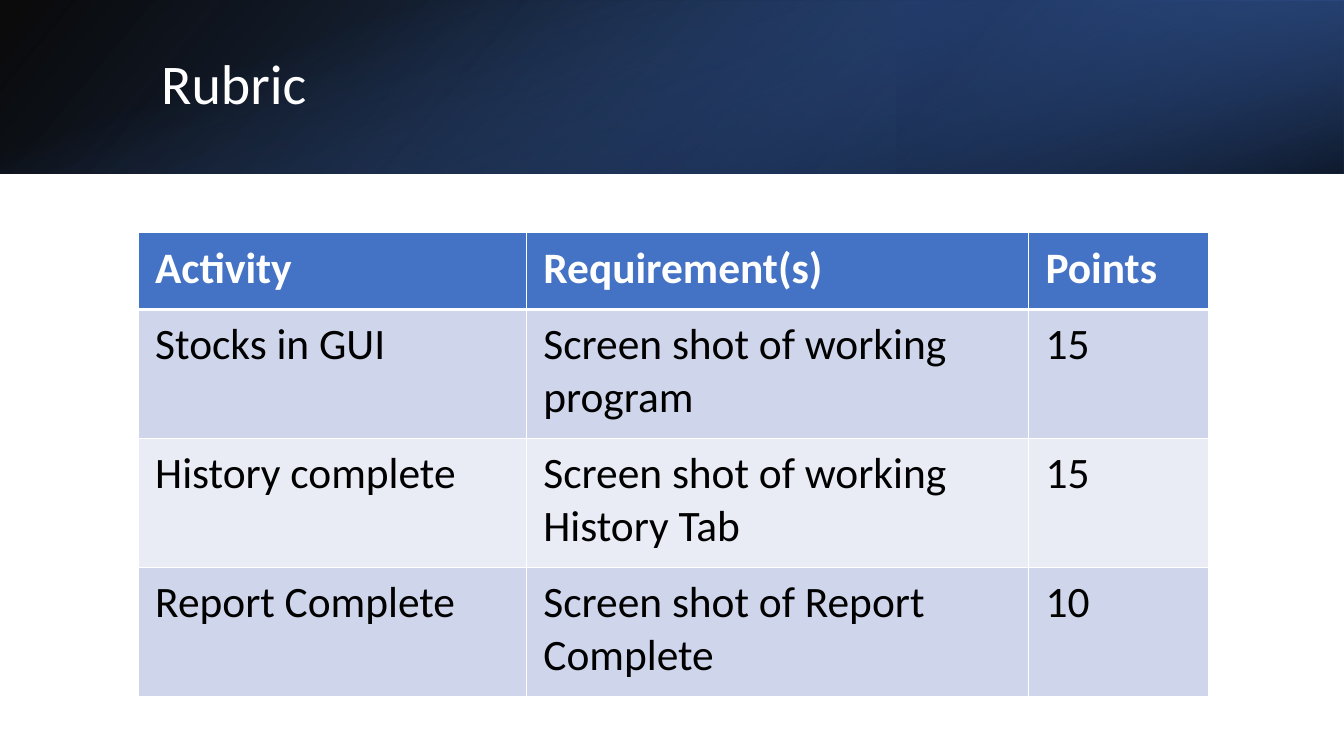
from lxml import etree
from pptx import Presentation
from pptx.dml.color import RGBColor
from pptx.enum.shapes import MSO_SHAPE
from pptx.enum.text import MSO_ANCHOR
from pptx.oxml.ns import qn
from pptx.util import Inches, Pt

RECTANGLE = MSO_SHAPE.RECTANGLE
MIDDLE = MSO_ANCHOR.MIDDLE
FONT = "Calibri"
WHITE = "FFFFFF"


def color(hex_string):
    return RGBColor.from_string(hex_string)


def add_text(paragraph, text, size, hex_string, bold=False):
    run = paragraph.add_run()
    run.text = text
    run.font.name = FONT
    run.font.size = Pt(size)
    run.font.bold = bold
    run.font.color.rgb = color(hex_string)


presentation = Presentation()
presentation.slide_width = Inches(13.33)
presentation.slide_height = Inches(7.5)
slide = presentation.slides.add_slide(presentation.slide_layouts[6])

# Header band: three layered gradients
# (left, top, width, height), rotation, flipped, clockwise angle, (position, color, opacity)
band_layers = [
    ((0, 0, 13.33, 1.72), 0, True, 140, [(0, "000000", 96), (100, "2F5597", 100)]),
    ((8.89, 0, 4.44, 1.72), 180, True, 320, [(19, "203864", 68), (100, "4472C4", 79)]),
    ((5.8, -5.8, 1.72, 13.33), 90, False, 340, [(23, "4472C4", 0), (99, "000000", 74)]),
]
for box, rotation, flipped, angle, stops in band_layers:
    layer = slide.shapes.add_shape(RECTANGLE, *[Inches(length) for length in box])
    layer.shadow.inherit = False
    layer.line.fill.background()
    layer.rotation = rotation
    if flipped:
        layer._element.spPr.find(qn("a:xfrm")).set("flipH", "1")
    layer.fill.gradient()
    layer.fill.gradient_angle = 360 - angle
    for gradient_stop, (position, hex_string, _) in zip(layer.fill.gradient_stops, stops):
        gradient_stop.position = position / 100
        gradient_stop.color.rgb = color(hex_string)
    stop_colors = layer._element.spPr.find(qn("a:gradFill")).iter(qn("a:srgbClr"))
    for stop_color, (_, _, opacity) in zip(stop_colors, stops):
        etree.SubElement(stop_color, qn("a:alpha")).set("val", str(opacity * 1000))

# Title
title = slide.shapes.add_textbox(Inches(1.5), Inches(0.38), Inches(10.98), Inches(0.96))
title.text_frame.word_wrap = True
title.text_frame.vertical_anchor = MIDDLE
title_paragraph = title.text_frame.paragraphs[0]
title_paragraph.line_spacing = 0.9
add_text(title_paragraph, "Rubric", 40, WHITE)

# Rubric table
rubric = [
    ("Activity", "Requirement(s)", "Points"),
    ("Stocks in GUI", "Screen shot of working program", "15"),
    ("History complete", "Screen shot of working History Tab", "15"),
    ("Report Complete", "Screen shot of Report Complete", "10"),
]
column_widths = [3.85, 4.98, 1.79]
row_heights = [0.76, 1.28, 1.28, 1.28]
row_fills = ["4472C4", "CFD5EA", "E9EBF5", "CFD5EA"]
table = slide.shapes.add_table(
    len(rubric), len(column_widths), Inches(1.37), Inches(2.31),
    Inches(sum(column_widths)), Inches(sum(row_heights))).table
for column, width in zip(table.columns, column_widths):
    column.width = Inches(width)

for row_index, texts in enumerate(rubric):
    table.rows[row_index].height = Inches(row_heights[row_index])
    is_header = row_index == 0
    border_widths = {
        "a:lnL": 1,
        "a:lnR": 1,
        "a:lnT": 3 if row_index == 1 else 1,
        "a:lnB": 3 if is_header else 1,
    }
    for column_index, text in enumerate(texts):
        cell = table.cell(row_index, column_index)
        cell.margin_left = cell.margin_right = Inches(0.17)
        cell.margin_top = cell.margin_bottom = Inches(0.09)
        add_text(cell.text_frame.paragraphs[0], text, 31,
                 WHITE if is_header else "000000", is_header)

        # Borders come before the fill in the cell properties
        properties = cell._tc.get_or_add_tcPr()
        for tag, width in border_widths.items():
            border = etree.SubElement(properties, qn(tag), w=str(Pt(width)))
            border_fill = etree.SubElement(border, qn("a:solidFill"))
            etree.SubElement(border_fill, qn("a:srgbClr"), val=WHITE)
        cell.fill.solid()
        cell.fill.fore_color.rgb = color(row_fills[row_index])

presentation.save("out.pptx")
